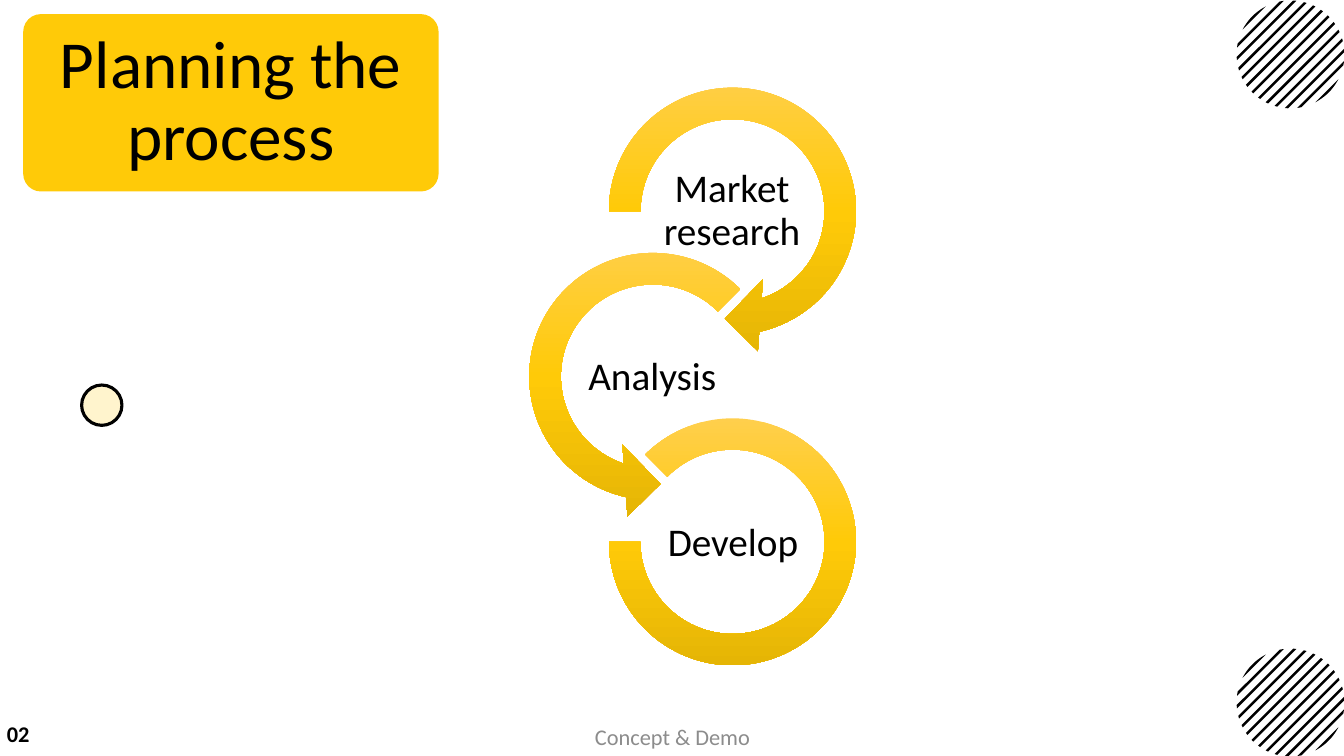
from copy import deepcopy
from dataclasses import dataclass
from math import acos, cos, radians, sin, sqrt

from lxml.etree import SubElement
from pptx import Presentation
from pptx.dml.color import RGBColor
from pptx.enum.shapes import MSO_SHAPE as SHAPE
from pptx.enum.text import MSO_ANCHOR as ANCHOR, PP_ALIGN as ALIGN
from pptx.oxml.ns import qn
from pptx.util import Inches, Pt


@dataclass(frozen=True)
class Theme:
    font: str = "Calibri"
    black: str = "000000"
    white: str = "FFFFFF"
    gray: str = "8C8C8C"
    gold: str = "FFCA08"
    ring_stops: tuple = ((0, "FFCF4C"), (0.5, "FFCA08"), (1, "E5B505"))
    title: int = 48
    step: int = 28
    footer: int = 16
    outline: float = 2.25


def rgb(value):
    return RGBColor.from_string(value)


def write(sp, text, font, size, color, bold=False, align=ALIGN.CENTER,
          spacing=None, inset=(0.1, 0.05)):
    tf = sp.text_frame
    tf.word_wrap = True
    tf.vertical_anchor = ANCHOR.MIDDLE
    tf.margin_left = tf.margin_right = Inches(inset[0])
    tf.margin_top = tf.margin_bottom = Inches(inset[1])
    p = tf.paragraphs[0]
    p.alignment = align
    if spacing:
        p.line_spacing = spacing
    r = p.add_run()
    r.text = text
    r.font.name, r.font.size, r.font.bold = font, Pt(size), bold
    r.font.color.rgb = rgb(color)


class SlideBuilder:
    def __init__(self, slide, theme):
        self.slide, self.theme = slide, theme

    def shape(self, kind, box, fill=None, line=None, adj=()):
        sp = self.slide.shapes.add_shape(kind, *map(Inches, box))
        sp.shadow.inherit = False
        for i, value in enumerate(adj):
            sp.adjustments[i] = value
        if fill:
            sp.fill.solid()
            sp.fill.fore_color.rgb = rgb(fill)
        if line:
            sp.line.color.rgb = rgb(line)
            sp.line.width = Pt(self.theme.outline)
        else:
            sp.line.fill.background()
        return sp

    def text(self, text, box, **fmt):
        sp = self.slide.shapes.add_textbox(*map(Inches, box))
        write(sp, text, self.theme.font, **fmt)

    def title(self, text, box):
        t = self.theme
        sp = self.shape(SHAPE.ROUNDED_RECTANGLE, box, t.gold, adj=[0.1])
        write(sp, text, t.font, t.title, t.black, spacing=0.9, inset=(0.1, 0.07))

    def dot(self, box):
        t = self.theme
        self.shape(SHAPE.OVAL, box, t.white, t.white)
        sp = self.shape(SHAPE.OVAL, box, t.gold, t.black)
        color = sp._element.spPr.find(qn("a:solidFill")).find(qn("a:srgbClr"))
        SubElement(color, qn("a:alpha")).set("val", "20000")

    def ring(self, kind, box, adj):
        sp = self.shape(kind, box, adj=adj)
        sp.fill.gradient()
        sp.fill.gradient_angle = 270
        stops = sp._element.spPr.find(qn("a:gradFill")).find(qn("a:gsLst"))
        stops.append(deepcopy(stops[0]))
        for stop, (position, color) in zip(sp.fill.gradient_stops, self.theme.ring_stops):
            stop.position = position
            stop.color.rgb = rgb(color)

    def step(self, label, label_at, kind, box, adj):
        t = self.theme
        self.ring(kind, box, adj)
        self.text(label, (*label_at, 1.58, 0.79), size=t.step, color=t.black,
                  spacing=0.9, inset=(0.02, 0.02))

    def hatched_disc(self, cx, cy, radius=0.535, side=6, arc_steps=6):
        """Draw a disc as diagonal stripes, each clipped to the circle."""
        group = self.slide.shapes.add_group_shape()
        pitch, half = radius * 0.23 / sqrt(2), 0.0175 / sqrt(2)
        for k in range(-side, side + 1):
            near, far = (acos(max(-1, min(1, (k * pitch + d) / radius)))
                         for d in (-half, half))
            arc = [near + (far - near) * i / arc_steps for i in range(arc_steps + 1)]
            angles = [radians(45) - a for a in arc]
            angles += [radians(45) + a for a in reversed(arc)]
            points = [(Inches(cx + radius * cos(a)), Inches(cy + radius * sin(a)))
                      for a in angles]
            pen = group.shapes.build_freeform(*points[0])
            pen.add_line_segments(points[1:], close=True)
            sp = pen.convert_to_shape()
            sp.shadow.inherit = False
            sp.fill.solid()
            sp.fill.fore_color.rgb = rgb(self.theme.black)
            sp.line.fill.background()


def main():
    prs = Presentation()
    prs.slide_width, prs.slide_height = Inches(13.33), Inches(7.5)
    t = Theme()
    s = SlideBuilder(prs.slides.add_slide(prs.slide_layouts[6]), t)

    s.dot((0.81, 3.82, 0.4, 0.4))
    s.text("02", (-0.03, 7.08, 0.73, 0.4), size=t.footer, color=t.black,
           bold=True, align=ALIGN.LEFT)
    s.text("Concept & Demo", (4.42, 7.11, 4.5, 0.4), size=t.footer, color=t.gray)
    s.hatched_disc(12.8, 6.97)
    s.step("Market research", (6.47, 1.7), SHAPE.CIRCULAR_ARROW,
           (5.84, 0.67, 2.85, 2.85), (0.11, 11.42, 45, 108, 0.125))
    s.step("Analysis", (5.68, 3.35), SHAPE.LEFT_CIRCULAR_ARROW,
           (5.05, 2.31, 2.85, 2.85), (0.11, 11.42, 63, 189, 0.125))
    s.step("Develop", (6.48, 5), SHAPE.BLOCK_ARC,
           (6.04, 4.15, 2.45, 2.45), (135, 108, 0.127))
    s.title("Planning the process", (0.23, 0.14, 4.12, 1.76))
    s.hatched_disc(12.8, 0.54)
    prs.save("out.pptx")


if __name__ == "__main__":
    main()
